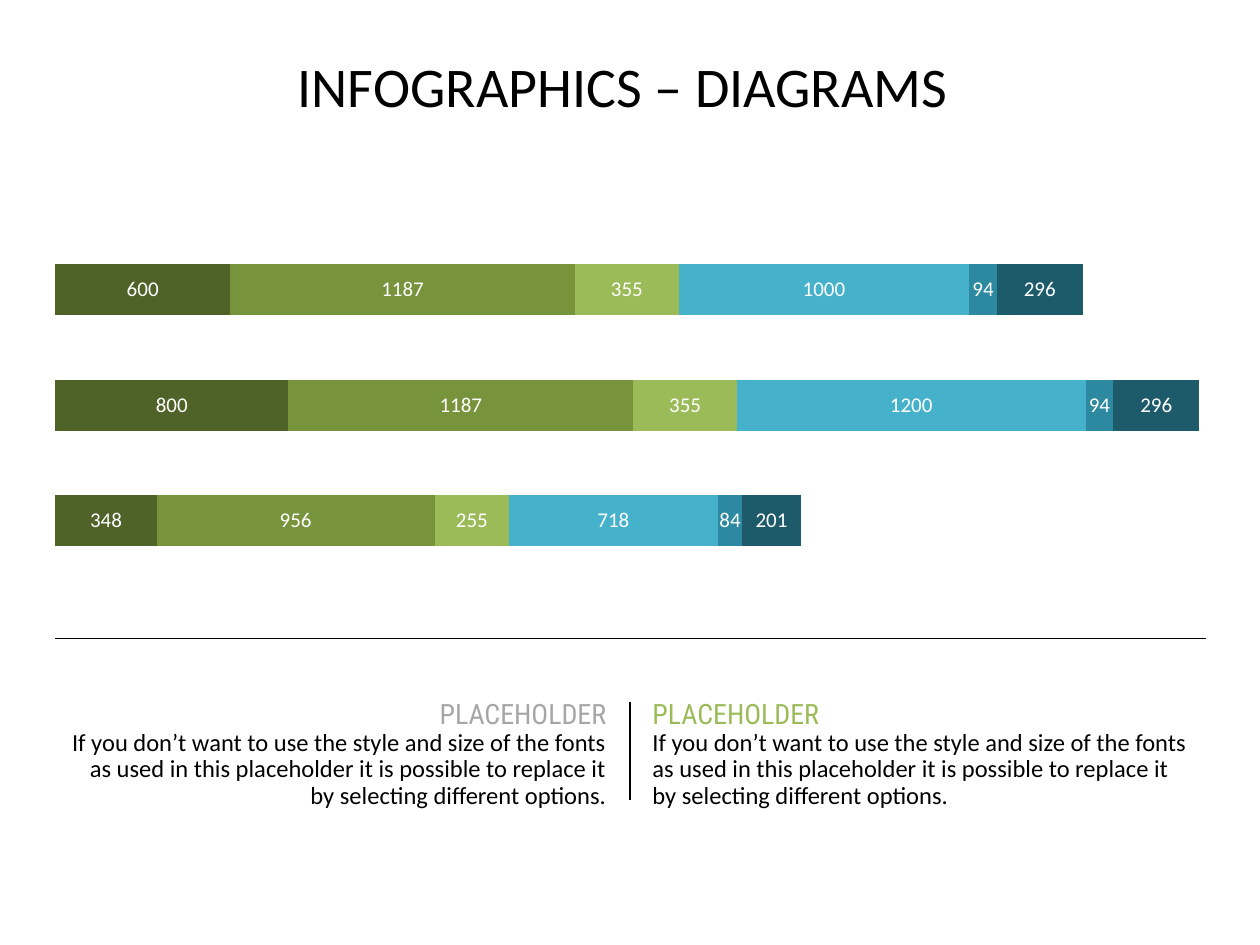
from pptx import Presentation
from pptx.chart.data import CategoryChartData
from pptx.dml.color import RGBColor
from pptx.enum.chart import XL_CHART_TYPE, XL_LABEL_POSITION, XL_TICK_LABEL_POSITION, XL_TICK_MARK
from pptx.enum.shapes import MSO_CONNECTOR
from pptx.enum.text import MSO_ANCHOR, PP_ALIGN
from pptx.oxml import parse_xml
from pptx.oxml.ns import nsdecls, qn
from pptx.util import Inches, Pt
from lxml import etree

LEFT, CENTER, RIGHT = PP_ALIGN.LEFT, PP_ALIGN.CENTER, PP_ALIGN.RIGHT
TOP, MIDDLE = MSO_ANCHOR.TOP, MSO_ANCHOR.MIDDLE
STRAIGHT = MSO_CONNECTOR.STRAIGHT
BAR_STACKED = XL_CHART_TYPE.BAR_STACKED
LABEL_CENTER = XL_LABEL_POSITION.CENTER
NO_LABELS, NO_TICKS = XL_TICK_LABEL_POSITION.NONE, XL_TICK_MARK.NONE

BLACK, WHITE, GREY, GREEN = "000000", "FFFFFF", "A6A6A6", "9BBB59"
BLURB = ("If you don’t want to use the style and size of the fonts as used in this "
         "placeholder it is possible to replace it by selecting different options.")
SERIES = [
    ((348, 800, 600), "4F6228"),
    ((956, 1187, 1187), "77933C"),
    ((255, 355, 355), GREEN),
    ((718, 1200, 1000), "45B1CB"),
    ((84, 94, 94), "2D899F"),
    ((201, 296, 296), "1E5B6A"),
]


def rgb(value):
    return RGBColor.from_string(value)


class Deck:
    """Style and current slide; lengths are percentages of the slide's size."""

    body, heading = "Calibri", "Roboto Condensed"

    def __init__(self, width, height):
        self.prs = Presentation()
        self.prs.slide_width, self.prs.slide_height = Inches(width), Inches(height)
        self.s = self.prs.slides.add_slide(self.prs.slide_layouts[5])

    def place(self, x, y, w, h):
        sw, sh = self.prs.slide_width, self.prs.slide_height
        return [round(share * size / 100) for share, size in ((x, sw), (y, sh), (w, sw), (h, sh))]

    def font(self, font, size, color, name=body):
        font.name, font.size, font.bold = name, Pt(size), False
        font.color.rgb = rgb(color)

    def title(self, text, *box):
        sp = self.s.shapes.title
        sp.left, sp.top, sp.width, sp.height = self.place(*box)
        tf = sp.text_frame
        tf.margin_left = tf.margin_right = tf.margin_top = tf.margin_bottom = 0
        tf.vertical_anchor = TOP
        tf.text = text
        p = tf.paragraphs[0]
        p.alignment, p.line_spacing = CENTER, 0.9
        self.font(p.runs[0].font, 32, BLACK)

    def note(self, heading, text, color, align, *box):
        tf = self.s.shapes.add_textbox(*self.place(*box)).text_frame
        tf.word_wrap, tf.vertical_anchor = True, MIDDLE
        p = tf.paragraphs[0]
        p.text = f"{heading}\v{text}"
        p.alignment, p.line_spacing, p.space_after = align, 0.9, Pt(10)
        head, rest = p.runs
        self.font(head.font, 16, color, self.heading)
        self.font(rest.font, 14, BLACK)

    def line(self, weight, x, y, w, h):
        left, top, width, height = self.place(x, y, w, h)
        c = self.s.shapes.add_connector(STRAIGHT, left, top, left + width, top + height)
        c.line.color.rgb, c.line.width = rgb(BLACK), Pt(weight)
        etree.SubElement(c._element.spPr, qn("a:effectLst"))

    def bars(self, cats, series, maximum, layout, *box):
        data = CategoryChartData()
        data.categories = cats
        for i, (values, _) in enumerate(series, 1):
            data.add_series(f"Series {i}", values)
        chart = self.s.shapes.add_chart(BAR_STACKED, *self.place(*box), data).chart
        chart.has_legend = chart.has_title = False
        self.font(chart.font, 12, BLACK)
        chart.category_axis.visible = False
        axis = chart.value_axis
        axis.minimum_scale, axis.maximum_scale = 0, maximum
        axis.has_major_gridlines = False
        axis.major_tick_mark = axis.minor_tick_mark = NO_TICKS
        axis.tick_label_position = NO_LABELS
        axis.format.line.fill.background()
        plot = chart.plots[0]
        plot.gap_width, plot.overlap, plot.vary_by_categories = 126, 100, False
        for ser, (_, color) in zip(plot.series, series):
            ser.format.fill.solid()
            ser.format.fill.fore_color.rgb = rgb(color)
            labels = ser.data_labels
            labels.show_value, labels.position = True, LABEL_CENTER
            self.font(labels.font, 12, WHITE)
        self.plot_layout(chart, layout)

    def plot_layout(self, chart, layout):
        area = chart._chartSpace.chart.plotArea
        for old in area.findall(qn("c:layout")):
            area.remove(old)
        modes = "".join(f'<c:{m}Mode val="edge"/>' for m in "xy")
        sizes = "".join(f'<c:{k} val="{v / 100}"/>' for k, v in zip("xywh", layout))
        area.insert(0, parse_xml(
            f'<c:layout {nsdecls("c")}><c:manualLayout><c:layoutTarget val="inner"/>'
            f"{modes}{sizes}</c:manualLayout></c:layout>"))


def main():
    deck = Deck(10, 7.5)
    deck.title("INFOGRAPHICS – DIAGRAMS ", 4.3, 6.27, 91.3, 15.73)
    deck.bars(("1", "2", "3"), SERIES, 3950, (2.4, 5.2, 95.1, 74.7), 2.1, 22, 95.9, 49.07)
    deck.line(0.5, 4.4, 67.6, 91.3, 0)
    for x, color, align in ((4.3, GREY, RIGHT), (50.8, GREEN, LEFT)):
        deck.note("PLACEHOLDER", BLURB, color, align, x, 75.07, 44.8, 9.6)
    deck.line(1.5, 50, 74.27, 0, 10.4)
    deck.prs.save("out.pptx")


if __name__ == "__main__":
    main()
